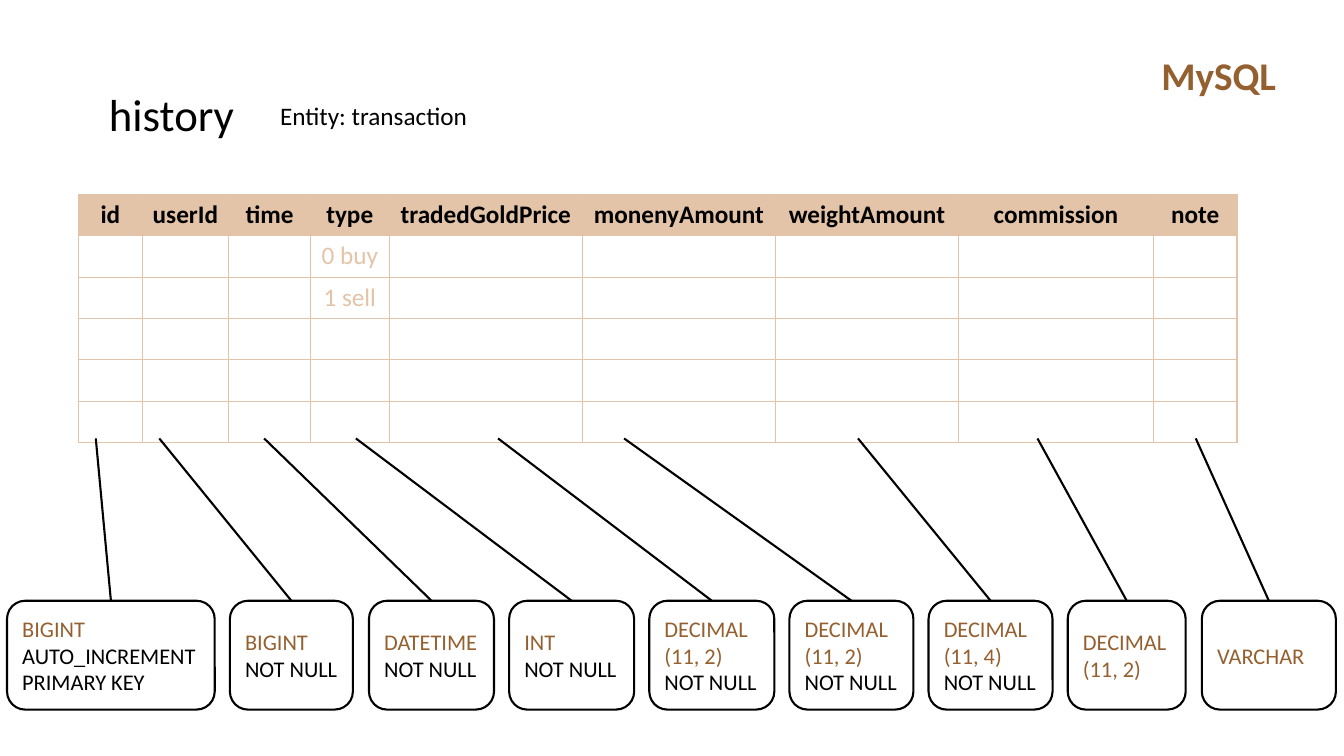
from lxml.etree import SubElement as Sub
from pptx import Presentation
from pptx.dml.color import RGBColor
from pptx.enum.shapes import MSO_CONNECTOR as Link, MSO_SHAPE as Shape
from pptx.enum.text import MSO_ANCHOR as Anchor, MSO_AUTO_SIZE as Fit, PP_ALIGN as Align
from pptx.oxml.ns import qn
from pptx.util import Inches, Pt

HEX = {"ink": "000000", "brown": "956030", "sand": "E3C4A8"}
FONT = "Calibri"

# Column name, width, x where its line starts, box left, box width, type, rules
COLS = [
    ("id", 0.63, 0.95, 0.07, 2.06, ["BIGINT"], ["AUTO_INCREMENT", "PRIMARY KEY"]),
    ("userId", 0.86, 1.58, 2.28, 1.22, ["BIGINT"], ["NOT NULL"]),
    ("time", 0.81, 2.62, 3.66, 1.24, ["DATETIME"], ["NOT NULL"]),
    ("type", 0.78, 3.53, 5.05, 1.24, ["INT"], ["NOT NULL"]),
    ("tradedGoldPrice", 1.92, 4.94, 6.44, 1.24, ["DECIMAL", "(11, 2)"], ["NOT NULL"]),
    ("monenyAmount", 1.91, 6.19, 7.83, 1.23, ["DECIMAL", "(11, 2)"], ["NOT NULL"]),
    ("weightAmount", 1.82, 8.51, 9.21, 1.23, ["DECIMAL", "(11, 4)"], ["NOT NULL"]),
    ("commission", 1.93, 10.29, 10.59, 1.17, ["DECIMAL", "(11, 2)"], []),
    ("note", 0.83, 11.86, 11.92, 1.33, ["VARCHAR"], []),
]
SAMPLES = {(1, 3): "0 buy", (2, 3): "1 sell"}
ROWS, ROW_H = 6, 0.41


def color(name):
    return RGBColor.from_string(HEX[name])


def write(para, text, size, tint="ink", bold=False, align=Align.LEFT):
    para.alignment = align
    run = para.add_run()
    run.text = text
    font = run.font
    font.name, font.size, font.bold = FONT, Pt(size), bold
    font.color.rgb = color(tint)


def place(shape, x, y, w, h):
    shape.left, shape.top = Inches(x), Inches(y)
    shape.width, shape.height = Inches(w), Inches(h)


# Heading: table name, entity and database
def head(slide, x, y):
    title = slide.shapes.title
    place(title, x, y, 1.53, 0.64)
    frame = title.text_frame
    frame.auto_size, frame.vertical_anchor = Fit.NONE, Anchor.MIDDLE
    write(frame.paragraphs[0], "history", 32)
    for text, dx, dy, w, h, size, tint, bold in [
        ("Entity: transaction", 1.7, 0.14, 2.23, 0.4, 18, "ink", False),
        ("MySQL", 10.44, -0.35, 1.87, 0.57, 28, "brown", True),
    ]:
        box = slide.shapes.add_textbox(
            Inches(x + dx), Inches(y + dy), Inches(w), Inches(h))
        box.text_frame.word_wrap = True
        write(box.text_frame.paragraphs[0], text, size, tint, bold)


def border(cell):
    props = cell._tc.get_or_add_tcPr()
    for side in ("a:lnL", "a:lnR", "a:lnT", "a:lnB"):
        line = Sub(props, qn(side), w=str(Pt(1)))
        fill = Sub(line, qn("a:solidFill"))
        Sub(fill, qn("a:srgbClr"), val=HEX["sand"])


# Table: header row, two sample values, blank rows
def grid(slide, x, y):
    width = sum(col[1] for col in COLS)
    table = slide.shapes.add_table(
        ROWS, len(COLS), Inches(x), Inches(y),
        Inches(width), Inches(ROWS * ROW_H)).table
    table.horz_banding = False
    for row in table.rows:
        row.height = Inches(ROW_H)
    for c, (name, width, *_) in enumerate(COLS):
        table.columns[c].width = Inches(width)
        for r in range(ROWS):
            cell = table.cell(r, c)
            border(cell)
            para = cell.text_frame.paragraphs[0]
            if r == 0:
                cell.fill.solid()
                cell.fill.fore_color.rgb = color("sand")
                write(para, name, 18, bold=True, align=Align.CENTER)
            else:
                cell.fill.background()
                if (r, c) in SAMPLES:
                    write(para, SAMPLES[r, c], 18, "sand", align=Align.CENTER)


def stroke(shape):
    shape.line.color.rgb = color("ink")
    shape.line.width = Pt(1.5)


# Type boxes, each joined to its column
def types(slide, y, h, top):
    for _, _, start, x, w, kind, rules in COLS:
        box = slide.shapes.add_shape(
            Shape.ROUNDED_RECTANGLE, Inches(x), Inches(y), Inches(w), Inches(h))
        box.shadow.inherit = False
        box.fill.background()
        stroke(box)
        frame = box.text_frame
        frame.word_wrap, frame.vertical_anchor = True, Anchor.MIDDLE
        frame.margin_right = Inches(0.05)
        lines = [(t, "brown") for t in kind] + [(t, "ink") for t in rules]
        for i, (text, tint) in enumerate(lines):
            para = frame.add_paragraph() if i else frame.paragraphs[0]
            write(para, text, 16, tint)

        link = slide.shapes.add_connector(
            Link.STRAIGHT, Inches(start), Inches(top), Inches(x + w / 2), Inches(y))
        link.end_connect(box, 0)
        stroke(link)
        Sub(link._element.spPr, qn("a:effectLst"))


def main():
    deck = Presentation()
    deck.slide_width, deck.slide_height = Inches(13.33), Inches(7.5)
    slide = deck.slides.add_slide(deck.slide_layouts[5])
    head(slide, 0.98, 0.81)
    grid(slide, 0.78, 1.93)
    types(slide, 5.96, 1.08, 4.35)
    deck.save("out.pptx")


if __name__ == "__main__":
    main()
